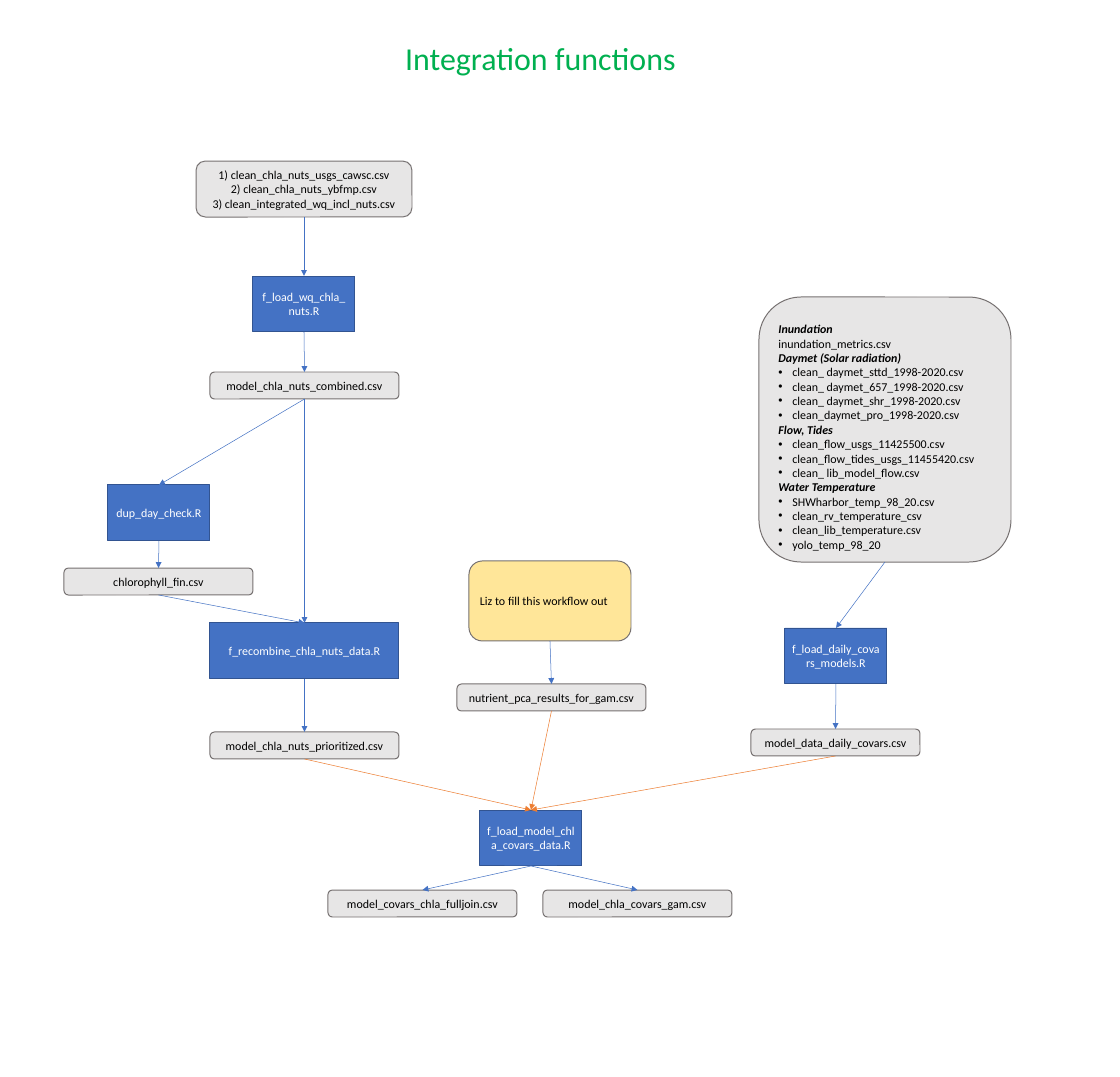
from dataclasses import dataclass

from lxml.etree import SubElement
from pptx import Presentation
from pptx.dml.color import RGBColor
from pptx.enum.shapes import MSO_CONNECTOR, MSO_SHAPE
from pptx.enum.text import MSO_ANCHOR, MSO_AUTO_SIZE, PP_ALIGN
from pptx.oxml.ns import qn
from pptx.shapes.autoshape import Shape
from pptx.slide import Slide
from pptx.util import Pt

EMU_PER_PIXEL = 914400 / 71.8
FONT_NAME = "Calibri"
WHITE = RGBColor(0xFF, 0xFF, 0xFF)
BLACK = RGBColor(0x00, 0x00, 0x00)
GREEN = RGBColor(0x00, 0xB0, 0x50)
BLUE = RGBColor(0x44, 0x72, 0xC4)
DARK_BLUE = RGBColor(0x32, 0x54, 0x91)
ORANGE = RGBColor(0xED, 0x7D, 0x31)
LIGHT_GRAY = RGBColor(0xE7, 0xE6, 0xE6)
DARK_GRAY = RGBColor(0x76, 0x71, 0x71)
YELLOW = RGBColor(0xFF, 0xE6, 0x99)
BULLET_INDENT = 14


@dataclass(frozen=True)
class BoxStyle:
    """Look shared by boxes of one role."""
    outline: MSO_SHAPE
    fill: RGBColor
    line: RGBColor
    font: RGBColor
    alignment: PP_ALIGN = PP_ALIGN.CENTER


@dataclass(frozen=True)
class Box:
    """One step of the workflow, in pixels."""
    key: str
    text: str
    left: int
    top: int
    width: int
    height: int
    style: BoxStyle


@dataclass(frozen=True)
class Arrow:
    """Arrow from the bottom of one box to the top of another."""
    source: str
    target: str
    color: RGBColor = BLUE


SCRIPT = BoxStyle(MSO_SHAPE.RECTANGLE, BLUE, DARK_BLUE, WHITE)
DATA = BoxStyle(MSO_SHAPE.ROUNDED_RECTANGLE, LIGHT_GRAY, DARK_GRAY, BLACK)
DATA_LIST = BoxStyle(MSO_SHAPE.ROUNDED_RECTANGLE, LIGHT_GRAY, DARK_GRAY, BLACK, PP_ALIGN.LEFT)
TO_DO = BoxStyle(MSO_SHAPE.ROUNDED_RECTANGLE, YELLOW, DARK_GRAY, BLACK, PP_ALIGN.LEFT)

WATER_QUALITY_FILES = "\n".join([
    "1) clean_chla_nuts_usgs_cawsc.csv",
    "2) clean_chla_nuts_ybfmp.csv",
    "3) clean_integrated_wq_incl_nuts.csv",
])
DAILY_HEADINGS = ("Inundation", "Daymet (Solar radiation)", "Flow, Tides", "Water Temperature")
UNBULLETED_FILE = "inundation_metrics.csv"
DAILY_FILES = "\n".join([
    DAILY_HEADINGS[0],
    UNBULLETED_FILE,
    DAILY_HEADINGS[1],
    "clean_ daymet_sttd_1998-2020.csv",
    "clean_ daymet_657_1998-2020.csv",
    "clean_ daymet_shr_1998-2020.csv",
    "clean_daymet_pro_1998-2020.csv",
    DAILY_HEADINGS[2],
    "clean_flow_usgs_11425500.csv",
    "clean_flow_tides_usgs_11455420.csv",
    "clean_ lib_model_flow.csv",
    DAILY_HEADINGS[3],
    "SHWharbor_temp_98_20.csv",
    "clean_rv_temperature_csv",
    "clean_lib_temperature.csv",
    "yolo_temp_98_20",
])

BOXES = [
    Box("water_quality", WATER_QUALITY_FILES, 196, 161, 216, 56, DATA),
    Box("load_quality", "f_load_wq_chla_nuts.R", 253, 276, 102, 56, SCRIPT),
    Box("combined", "model_chla_nuts_combined.csv", 210, 372, 189, 27, DATA),
    Box("day_check", "dup_day_check.R", 108, 485, 102, 56, SCRIPT),
    Box("chlorophyll", "chlorophyll_fin.csv", 64, 568, 189, 27, DATA),
    Box("recombine", "f_recombine_chla_nuts_data.R", 210, 623, 189, 56, SCRIPT),
    Box("prioritized", "model_chla_nuts_prioritized.csv", 210, 732, 189, 27, DATA),
    Box("to_do", "Liz to fill this workflow out", 469, 561, 162, 80, TO_DO),
    Box("nutrient", "nutrient_pca_results_for_gam.csv", 457, 684, 189, 27, DATA),
    Box("daily_files", DAILY_FILES, 759, 297, 252, 265, DATA_LIST),
    Box("load_daily", "f_load_daily_covars_models.R", 785, 628, 102, 56, SCRIPT),
    Box("daily", "model_data_daily_covars.csv", 751, 729, 169, 27, DATA),
    Box("load_model", "f_load_model_chla_covars_data.R", 480, 810, 102, 56, SCRIPT),
    Box("full_join", "model_covars_chla_fulljoin.csv", 328, 890, 189, 27, DATA),
    Box("gam", "model_chla_covars_gam.csv", 543, 890, 189, 27, DATA),
]

ARROWS = [
    Arrow("water_quality", "load_quality"),
    Arrow("load_quality", "combined"),
    Arrow("combined", "day_check"),
    Arrow("combined", "recombine"),
    Arrow("day_check", "chlorophyll"),
    Arrow("chlorophyll", "recombine"),
    Arrow("recombine", "prioritized"),
    Arrow("to_do", "nutrient"),
    Arrow("daily_files", "load_daily"),
    Arrow("load_daily", "daily"),
    Arrow("prioritized", "load_model", ORANGE),
    Arrow("nutrient", "load_model", ORANGE),
    Arrow("daily", "load_model", ORANGE),
    Arrow("load_model", "full_join"),
    Arrow("load_model", "gam"),
]


def pixels(length: int) -> int:
    """Turn pixels into EMU."""
    return round(length * EMU_PER_PIXEL)


def format_text(shape: Shape, size: int, color: RGBColor, alignment: PP_ALIGN) -> None:
    """Format every paragraph and run of a shape."""
    for paragraph in shape.text_frame.paragraphs:
        paragraph.alignment = alignment
        for run in paragraph.runs:
            run.font.name = FONT_NAME
            run.font.size = Pt(size)
            run.font.color.rgb = color


def add_title(slide: Slide, text: str) -> None:
    """Fill and place the title placeholder."""
    title = slide.shapes.title
    title.left, title.top, title.width, title.height = map(pixels, (398, 35, 613, 46))
    title.text_frame.text = text
    title.text_frame.auto_size = MSO_AUTO_SIZE.NONE
    title.text_frame.vertical_anchor = MSO_ANCHOR.TOP
    format_text(title, 32, GREEN, PP_ALIGN.LEFT)


def add_box(slide: Slide, box: Box) -> Shape:
    """Draw one workflow box with its text."""
    style = box.style
    shape = slide.shapes.add_shape(
        style.outline, *map(pixels, (box.left, box.top, box.width, box.height)))
    shape.shadow.inherit = False
    shape.fill.solid()
    shape.fill.fore_color.rgb = style.fill
    shape.line.color.rgb = style.line
    shape.line.width = Pt(1)
    shape.text_frame.text = box.text
    shape.text_frame.vertical_anchor = MSO_ANCHOR.MIDDLE
    format_text(shape, 12, style.font, style.alignment)
    return shape


def format_daily_list(shape: Shape) -> None:
    """Emphasise the headings and bullet the files below them."""
    shape.text_frame.margin_top = pixels(18)
    for paragraph in shape.text_frame.paragraphs:
        if paragraph.text in DAILY_HEADINGS:
            for run in paragraph.runs:
                run.font.bold = run.font.italic = True
        elif paragraph.text != UNBULLETED_FILE:
            properties = paragraph._p.get_or_add_pPr()
            properties.set("marL", str(pixels(BULLET_INDENT)))
            properties.set("indent", str(-pixels(BULLET_INDENT)))
            SubElement(properties, qn("a:buFont"), typeface="Arial")
            SubElement(properties, qn("a:buChar"), char="•")


def add_arrow(slide: Slide, source: Shape, target: Shape, color: RGBColor) -> None:
    """Join the bottom of the source to the top of the target."""
    connector = slide.shapes.add_connector(MSO_CONNECTOR.STRAIGHT, 0, 0, 0, 0)
    connector.begin_connect(source, 2)
    connector.end_connect(target, 0)
    connector.line.color.rgb = color
    connector.line.width = Pt(0.5)
    SubElement(connector.line._get_or_add_ln(), qn("a:tailEnd"), type="triangle")
    SubElement(connector._element.spPr, qn("a:effectLst"))


def main() -> None:
    """Build and save the workflow slide."""
    presentation = Presentation()
    presentation.slide_width, presentation.slide_height = pixels(1120), pixels(1077)
    slide = presentation.slides.add_slide(presentation.slide_layouts.get_by_name("Title Only"))
    add_title(slide, "Integration functions")
    shapes = {box.key: add_box(slide, box) for box in BOXES}
    format_daily_list(shapes["daily_files"])
    for arrow in ARROWS:
        add_arrow(slide, shapes[arrow.source], shapes[arrow.target], arrow.color)
    presentation.save("out.pptx")


main()
